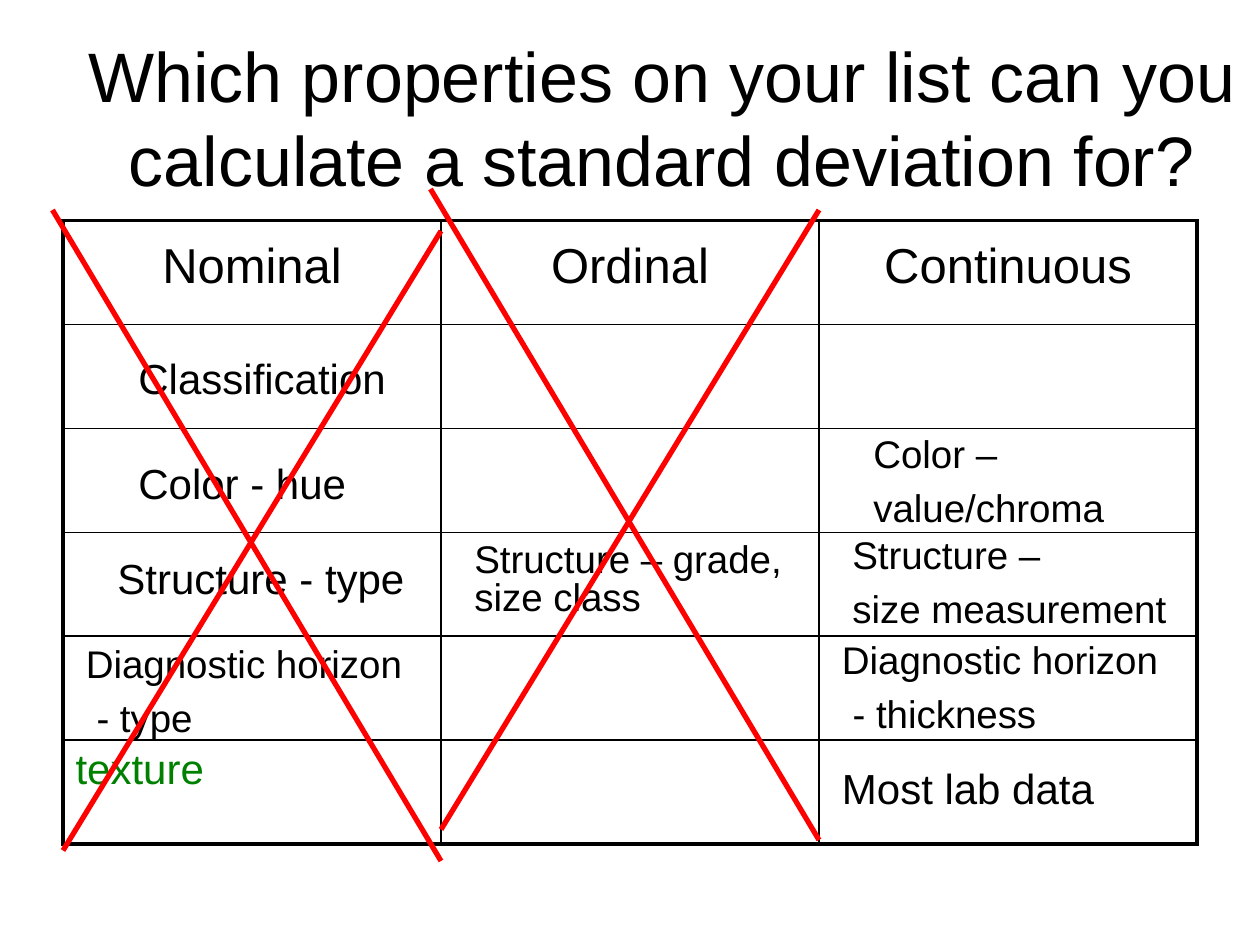
import dataclasses

import lxml.etree
import pptx
import pptx.dml.color
import pptx.enum.shapes
import pptx.enum.text
import pptx.oxml.ns
import pptx.util

Pt = pptx.util.Pt
CENTER = pptx.enum.text.PP_ALIGN.CENTER
MIDDLE = pptx.enum.text.MSO_ANCHOR.MIDDLE
AUTO_SIZE = pptx.enum.text.MSO_AUTO_SIZE


@dataclasses.dataclass
class Theme:
    font: str = "Arial"
    ink: str = "000000"
    answer: str = "008000"
    cross: str = "FF0000"
    title: int = 40
    header: int = 28
    entry: int = 24
    detail: int = 22
    outer_border: float = 2.25
    inner_border: float = 1
    cross_width: float = 3


def add_xml(parent, tag, **attributes):
    return lxml.etree.SubElement(parent, pptx.oxml.ns.qn(tag), attributes)


class SlideBuilder:
    def __init__(self, slide, theme):
        self.slide = slide
        self.theme = theme

    def set_text(self, frame, text, size, color=None, align=None, spaced=True):
        """Fill a frame, one paragraph per line of text, with 20% space before."""
        frame.text = text
        for paragraph in frame.paragraphs:
            if align is not None:
                paragraph.alignment = align
            if spaced:
                before = add_xml(paragraph._p.get_or_add_pPr(), "a:spcBef")
                add_xml(before, "a:spcPct", val="20000")
            for run in paragraph.runs:
                run.font.name = self.theme.font
                run.font.size = Pt(size)
                run.font.color.rgb = pptx.dml.color.RGBColor.from_string(color or self.theme.ink)

    def title(self, text, left, top, width, height):
        title = self.slide.shapes.title
        title.left, title.top, title.width, title.height = map(Pt, (left, top, width, height))
        self.set_text(title.text_frame, text, self.theme.title, align=CENTER, spaced=False)
        title.text_frame.auto_size = AUTO_SIZE.NONE
        title.text_frame.vertical_anchor = MIDDLE

    def border(self, cell, widths):
        """Draw the cell's sides; widths runs left, right, top, bottom."""
        properties = cell._tc.get_or_add_tcPr()
        for side, width in zip("LRTB", widths):
            line = add_xml(properties, f"a:ln{side}", w=str(Pt(width)))
            add_xml(add_xml(line, "a:solidFill"), "a:srgbClr", val=self.theme.ink)

    def grid(self, headers, row_count, left, top, width, height):
        column_count = len(headers)
        table = self.slide.shapes.add_table(
            row_count, column_count, *map(Pt, (left, top, width, height))).table
        table.first_row = table.horz_banding = False
        for row in table.rows:
            row.height = Pt(height / row_count)
        for r in range(row_count):
            for c in range(column_count):
                cell = table.cell(r, c)
                on_edge = (c == 0, c == column_count - 1, r == 0, r == row_count - 1)
                self.border(cell, [self.theme.outer_border if edge else self.theme.inner_border
                                   for edge in on_edge])
                cell.fill.background()
        for cell, header in zip(table.rows[0].cells, headers):
            cell.margin_top = Pt(10.8)
            self.set_text(cell.text_frame, header, self.theme.header, align=CENTER)
        return table

    def entry(self, text, size, left, top, width, height, wrap=False):
        box = self.slide.shapes.add_textbox(*map(Pt, (left, top, width, height)))
        self.set_text(box.text_frame, text, size)
        box.text_frame.word_wrap = wrap
        box.text_frame.auto_size = AUTO_SIZE.SHAPE_TO_FIT_TEXT

    def cross_out(self, *strokes):
        group = self.slide.shapes.add_group_shape()
        for stroke in strokes:
            line = group.shapes.add_connector(
                pptx.enum.shapes.MSO_CONNECTOR.STRAIGHT, *map(Pt, stroke))
            line.line.color.rgb = pptx.dml.color.RGBColor.from_string(self.theme.cross)
            line.line.width = Pt(self.theme.cross_width)
            add_xml(line._element.spPr, "a:effectLst")


def main():
    presentation = pptx.Presentation()
    presentation.slide_width, presentation.slide_height = Pt(720), Pt(540)
    theme = Theme()
    title_only = presentation.slide_layouts[5]
    builder = SlideBuilder(presentation.slides.add_slide(title_only), theme)

    builder.title("Which properties on your list can you calculate a standard deviation for?",
                  36, 21.6, 684, 90)
    properties = builder.grid(["Nominal", "Ordinal", "Continuous"], 6, 36, 126, 648, 356.4)
    builder.set_text(properties.cell(5, 0).text_frame, "texture", theme.entry, theme.answer)

    one_line, detail_line, two_lines = 36, 34, 65.5
    entries = [
        ("Classification", theme.entry, 72, 198, 156, one_line),
        ("Color - hue", theme.entry, 72, 258, 133, one_line),
        ("Color –\nvalue/chroma", theme.detail, 492, 242, 147, two_lines),
        ("Structure - type", theme.entry, 60, 312, 179, one_line),
        ("Structure – grade,", theme.detail, 264, 302, 197, detail_line),
        ("Diagnostic horizon\n - type", theme.detail, 42, 362, 196, two_lines),
        ("Diagnostic horizon\n - thickness", theme.detail, 474, 360, 212, two_lines, True),
        ("Most lab data", theme.entry, 474, 432, 212, one_line, True),
        ("Structure –\nsize measurement", theme.detail, 480, 300, 194, two_lines),
        ("size class", theme.detail, 264, 324, 194, detail_line, True),
    ]
    for entry in entries:
        builder.entry(*entry)

    builder.cross_out((30, 120, 252, 492), (252, 132, 36, 486))
    builder.cross_out((246, 108, 468, 480), (468, 120, 252, 474))
    presentation.save("out.pptx")


if __name__ == "__main__":
    main()
